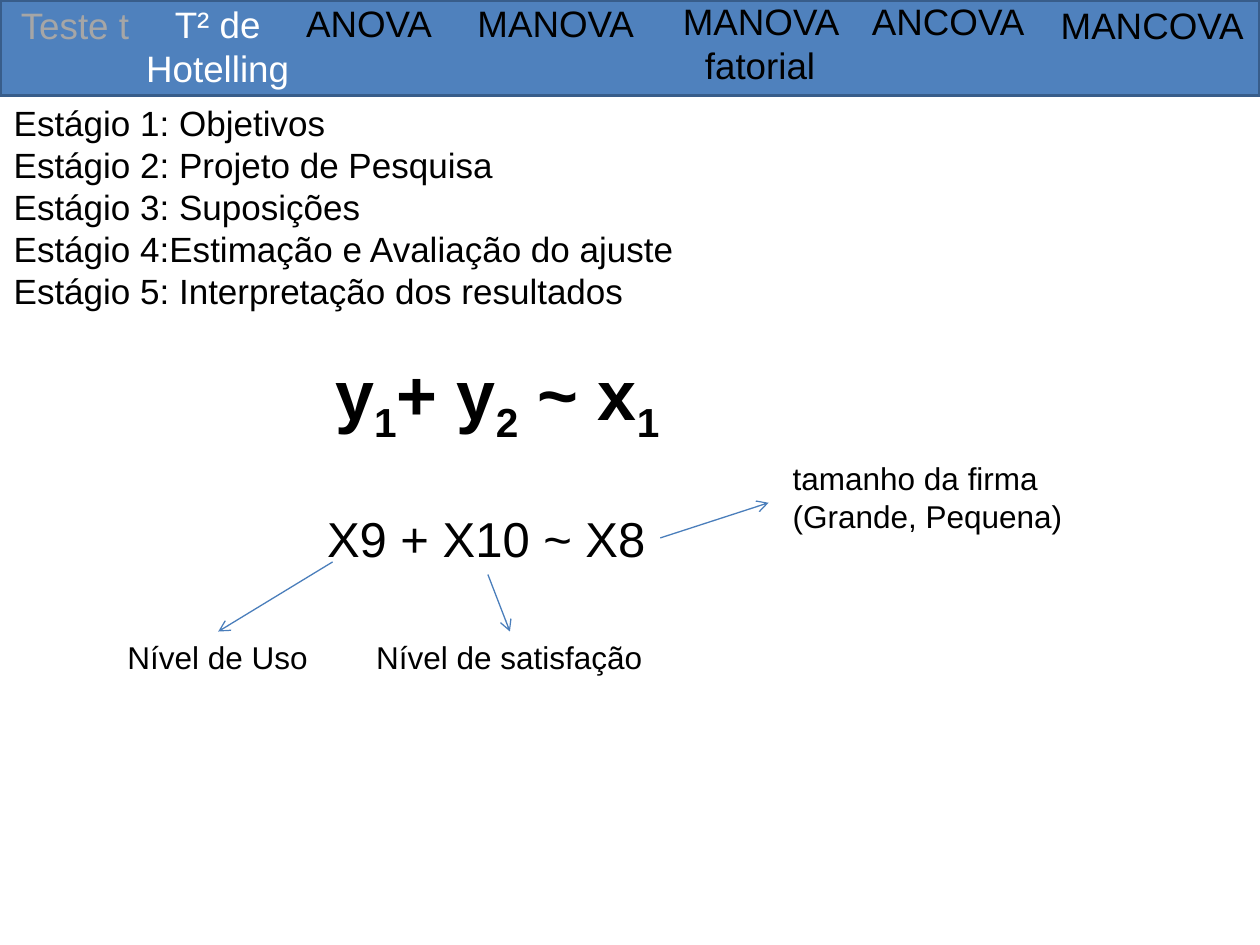
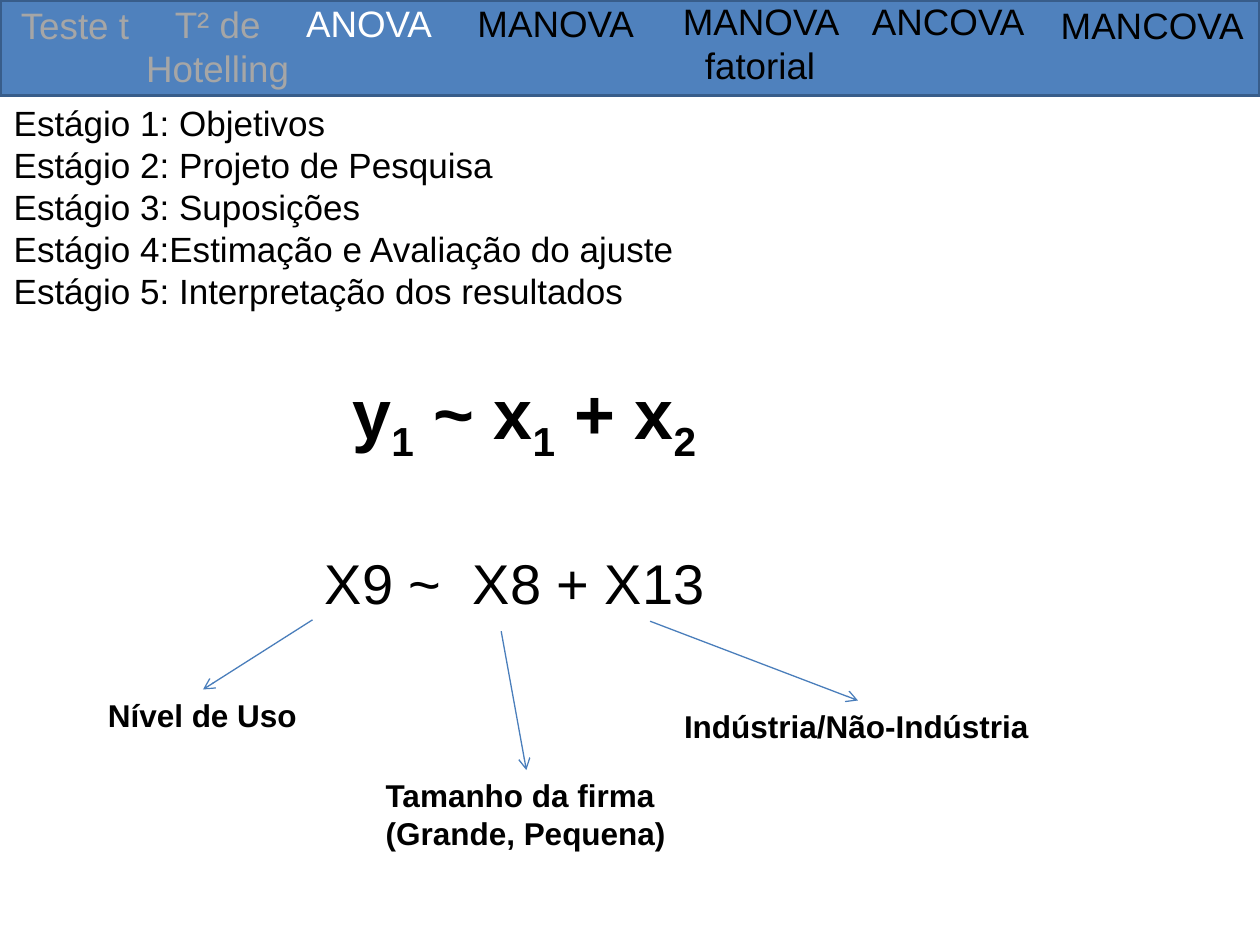
from collections import namedtuple

from lxml import etree
from pptx import Presentation
from pptx.dml.color import RGBColor
from pptx.enum.shapes import MSO_CONNECTOR, MSO_SHAPE
from pptx.enum.text import MSO_AUTO_SIZE, PP_ALIGN
from pptx.oxml.ns import qn
from pptx.util import Pt

RECTANGLE = MSO_SHAPE.RECTANGLE
STRAIGHT = MSO_CONNECTOR.STRAIGHT
FIT_SHAPE = MSO_AUTO_SIZE.SHAPE_TO_FIT_TEXT
CENTER, LEFT = PP_ALIGN.CENTER, PP_ALIGN.LEFT
TOP_SIDE, BOTTOM_SIDE = 0, 2

COLORS = {
    "band": "4F81BD",
    "band_line": "385D8A",
    "arrow": "4A7EBB",
    "text": "000000",
    "done": "A6A6A6",
    "current": "FFFFFF",
}
FONT = "Arial"

Box = namedtuple("Box", "left top width height")
Label = namedtuple("Label", "lines box start end", defaults=(None, None))
Model = namedtuple("Model", "equation equation_box formula formula_box size bold labels")

HEADER = Box(0, 0, 720, 54.7)
STAGES_BOX = Box(0.7, 54.7, 394, 127.4)
MODEL_REGION = Box(0, 180, 720, 360)

ONE_LINE, TWO_LINES = 32.4, 57.6
TECHNIQUES = [
    ("Teste t", Box(3.6, -2.2, 78.5, ONE_LINE)),
    ("T² de Hotelling", Box(53.5, -2.7, 141.8, TWO_LINES)),
    ("ANOVA", Box(167, -2.9, 87.8, ONE_LINE)),
    ("MANOVA ", Box(264.4, -3.4, 111, ONE_LINE)),
    ("MANOVA fatorial", Box(360.5, -4.1, 147.6, TWO_LINES)),
    ("ANCOVA", Box(490.3, -4.3, 103, ONE_LINE)),
    ("MANCOVA", Box(598.3, -2.2, 120.2, ONE_LINE)),
]
STAGES = [
    "Estágio 1: Objetivos",
    "Estágio 2: Projeto de Pesquisa",
    "Estágio 3: Suposições",
    "Estágio 4:Estimação e Avaliação do ajuste",
    "Estágio 5: Interpretação dos resultados",
]

HOTELLING = Model(
    [("y", "1"), ("+ y", "2"), (" ~ x", "1")], Box(184.5, 16.6, 202, 61.9),
    "X9 + X10 ~ X8", Box(179.8, 107.3, 198, 41), 28, False,
    [
        Label(["Nível de Uso"], Box(65.7, 180.9, 118, 28.8), (190.1, 141.1)),
        Label(["Nível de satisfação"], Box(207.9, 180.9, 167, 28.8)),
        Label(["tamanho da firma", "(Grande, Pequena)"],
              Box(445.9, 78.7, 170, 50.4), (377.3, 127.4), (439.2, 107.3)),
    ],
)
ANOVA = Model(
    [("y", "1"), (" ~ x", "1"), (" + x", "2")], Box(194.4, 27.6, 213, 61.9),
    "X9 ~  X8 + X13", Box(178.6, 129.8, 234, 46.1), 32, True,
    [
        Label(["Indústria/Não-Indústria"], Box(383.8, 220.3, 213, 28.8), (371.5, 175)),
        Label(["Tamanho da firma", "(Grande, Pequena)"],
              Box(213.3, 260.1, 175, 50.4), (286.4, 180.7)),
        Label(["Nível de Uso"], Box(54.5, 214, 123, 28.8), (178.6, 174.2)),
    ],
)


def color(name):
    return RGBColor.from_string(COLORS[name])


def inside(region, box):
    return box._replace(left=region.left + box.left, top=region.top + box.top)


def style(paragraph, size, color_name="text", bold=False, align=LEFT):
    paragraph.alignment = align
    font = paragraph.font
    font.name, font.size, font.bold = FONT, Pt(size), bold
    font.color.rgb = color(color_name)


def add_text(slide, box, lines, size, color_name="text", bold=False, align=LEFT, wrap=False):
    shape = slide.shapes.add_textbox(*map(Pt, box))
    frame = shape.text_frame
    frame.word_wrap = wrap
    frame.auto_size = FIT_SHAPE
    frame.text = "\n".join(lines)
    for paragraph in frame.paragraphs:
        style(paragraph, size, color_name, bold, align)
    return shape


def add_header(slide, box, current):
    band = slide.shapes.add_shape(RECTANGLE, *map(Pt, box))
    band.shadow.inherit = False
    band.fill.solid()
    band.fill.fore_color.rgb = color("band")
    band.line.color.rgb = color("band_line")
    band.line.width = Pt(2)
    for index, (name, place) in enumerate(TECHNIQUES):
        state = "done" if index < current else "current" if index == current else "text"
        add_text(slide, inside(box, place), [name], 21, state,
                 align=CENTER, wrap=place.height == TWO_LINES)


def add_equation(slide, box, terms):
    paragraph = add_text(slide, box, [""], 40, bold=True).text_frame.paragraphs[0]
    for term, subscript in terms:
        paragraph.add_run().text = term
        run = paragraph.add_run()
        run.text = subscript
        run._r.get_or_add_rPr().set("baseline", "-25000")


def add_arrow(slide, region, label, label_shape, formula_shape):
    start = label.start or (0, 0)
    end = label.end or (0, 0)
    points = [Pt(offset + value) for point in (start, end)
              for offset, value in zip(region[:2], point)]
    arrow = slide.shapes.add_connector(STRAIGHT, *points)
    if label.start is None:
        arrow.begin_connect(formula_shape, BOTTOM_SIDE)
    if label.end is None:
        arrow.end_connect(label_shape, TOP_SIDE)
    arrow.line.color.rgb = color("arrow")
    arrow.line.width = Pt(0.75)
    etree.SubElement(arrow.line._get_or_add_ln(), qn("a:tailEnd"), type="arrow")
    etree.SubElement(arrow._element.spPr, qn("a:effectLst"))


def add_model(slide, region, model):
    add_equation(slide, inside(region, model.equation_box), model.equation)
    formula = add_text(slide, inside(region, model.formula_box), [model.formula], model.size)
    for label in model.labels:
        shape = add_text(slide, inside(region, label.box), label.lines, 18, bold=model.bold)
        add_arrow(slide, region, label, shape, formula)


def add_technique_slide(presentation, current, model):
    slide = presentation.slides.add_slide(presentation.slide_layouts[6])
    add_header(slide, HEADER, current)
    add_text(slide, STAGES_BOX, STAGES, 20)
    add_model(slide, MODEL_REGION, model)


def main():
    presentation = Presentation()
    presentation.slide_width, presentation.slide_height = Pt(720), Pt(540)
    for current, model in enumerate([HOTELLING, ANOVA], start=1):
        add_technique_slide(presentation, current, model)
    presentation.save("out.pptx")


if __name__ == "__main__":
    main()
